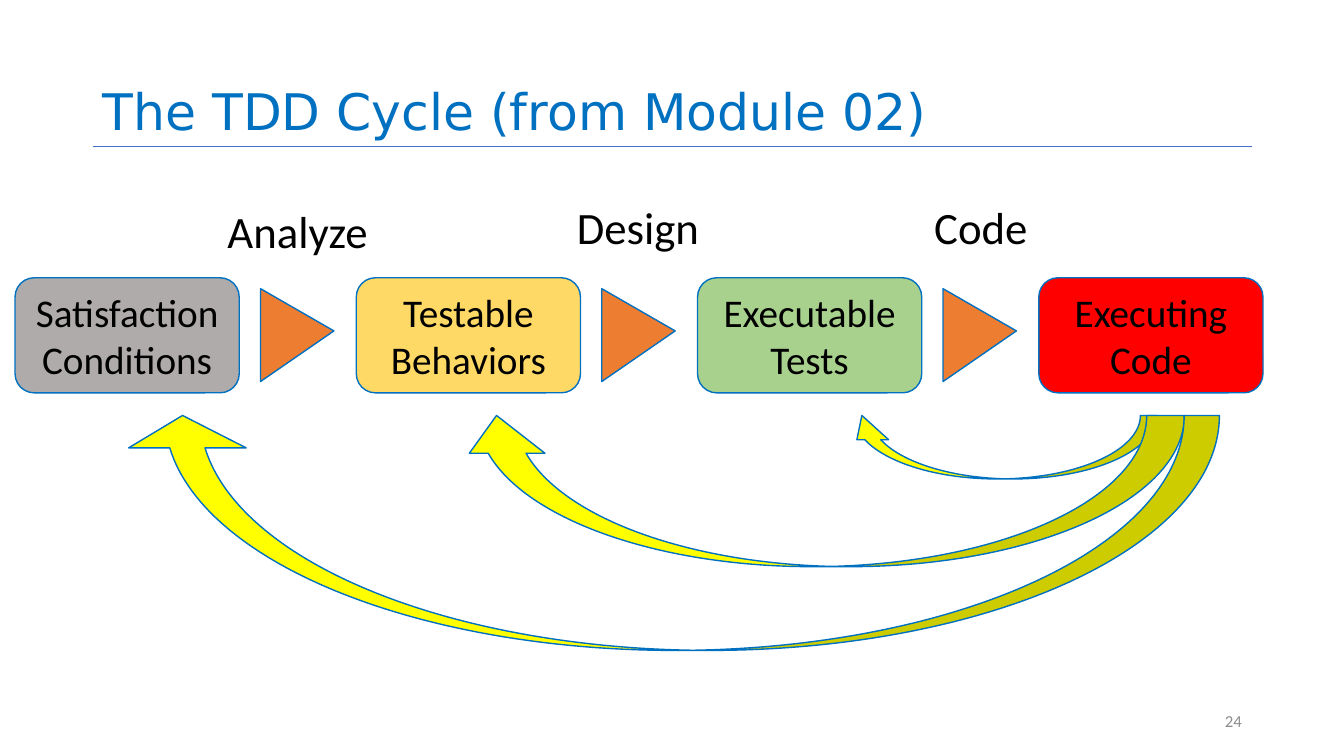
from lxml import etree
from pptx import Presentation
from pptx.dml.color import RGBColor
from pptx.enum.shapes import MSO_CONNECTOR, MSO_SHAPE
from pptx.enum.text import MSO_ANCHOR, PP_ALIGN
from pptx.oxml.ns import qn
from pptx.util import Cm, Pt

BOX, TRIANGLE, CURVED = (MSO_SHAPE.ROUNDED_RECTANGLE, MSO_SHAPE.ISOSCELES_TRIANGLE,
                         MSO_SHAPE.CURVED_LEFT_ARROW)
STRAIGHT = MSO_CONNECTOR.STRAIGHT
MIDDLE, BOTTOM = MSO_ANCHOR.MIDDLE, MSO_ANCHOR.BOTTOM
LEFT, CENTER, RIGHT = PP_ALIGN.LEFT, PP_ALIGN.CENTER, PP_ALIGN.RIGHT
rgb = RGBColor.from_string

prs = Presentation()
prs.slide_width, prs.slide_height = Cm(33.87), Cm(19.05)
s = prs.slides.add_slide(prs.slide_layouts[6])


def add_outlined(kind, left, top, width, height, fill, rotation=0, adjustments=()):
    sp = s.shapes.add_shape(kind, Cm(left), Cm(top), Cm(width), Cm(height))
    sp.rotation = rotation
    for i, value in enumerate(adjustments):
        sp.adjustments[i] = value
    sp.shadow.inherit = False
    sp.fill.solid()
    sp.fill.fore_color.rgb = rgb(fill)
    sp.line.color.rgb = rgb("0070C0")
    sp.line.width = Pt(1)
    return sp


def write(sp, text, size, color="000000", align=CENTER, anchor=MIDDLE, font="Calibri"):
    tf = sp.text_frame
    tf.word_wrap = True
    tf.vertical_anchor = anchor
    p = tf.paragraphs[0]
    p.alignment = align
    r = p.add_run()
    r.text = text
    r.font.size = Pt(size)
    r.font.name = font
    r.font.color.rgb = rgb(color)
    return p


# Title, rule and slide number
rule = s.shapes.add_connector(STRAIGHT, Cm(2.34), Cm(3.69), Cm(31.55), Cm(3.69))
rule.line.color.rgb = rgb("4472C4")
rule.line.width = Pt(0.5)
etree.SubElement(rule._element.spPr, qn("a:effectLst"))

title = s.shapes.add_textbox(Cm(2.34), Cm(0), Cm(29.21), Cm(3.69))
p = write(title, "The TDD Cycle (from Module 02)", 36, "0070C0", LEFT, BOTTOM, "DejaVu Sans")
p.line_spacing = 0.9

number = s.shapes.add_textbox(Cm(23.93), Cm(17.65), Cm(7.62), Cm(1.02))
write(number, "24", 12, "8C8C8C", RIGHT)

# Stages of the cycle, with a triangle between neighbours
PITCH = 8.6
stages = [
    ("Satisfaction Conditions", "AFABAB"),
    ("Testable Behaviors", "FFD966"),
    ("Executable Tests", "A9D18E"),
    ("Executing Code", "FF0000"),
]
for i, (text, fill) in enumerate(stages):
    box = add_outlined(BOX, 0.38 + i * PITCH, 7, 5.65, 2.9, fill)
    write(box, text, 28)

steps = [("Analyze", 4.45, 5.05), ("Design", 13.03, 4.95), ("Code", 21.67, 4.95)]
for i, (text, left, top) in enumerate(steps):
    add_outlined(TRIANGLE, 6.32 + i * PITCH, 7.52, 2.34, 1.85, "ED7D31", 90, [0.455])
    label = s.shapes.add_textbox(Cm(left), Cm(top), Cm(6.1), Cm(1.52))
    write(label, text, 32)

# Feedback arrows: left, span and depth as seen, all hanging from one level
ARROW_TOP = 10.47
feedback = [
    (21.32, 7.82, 1.6, (0.25, 0.5, 0.382)),
    (11.56, 18.29, 3.81, (0.25, 0.5, 0.25)),
    (3.12, 27.61, 5.92, (0.15, 0.5, 0.138)),
]
for left, span, depth, adjustments in feedback:
    inset = (span - depth) / 2  # the frame is given before its quarter turn
    add_outlined(CURVED, left + inset, ARROW_TOP - inset, depth, span,
                 "FFFF00", 90, adjustments)

prs.save("out.pptx")
